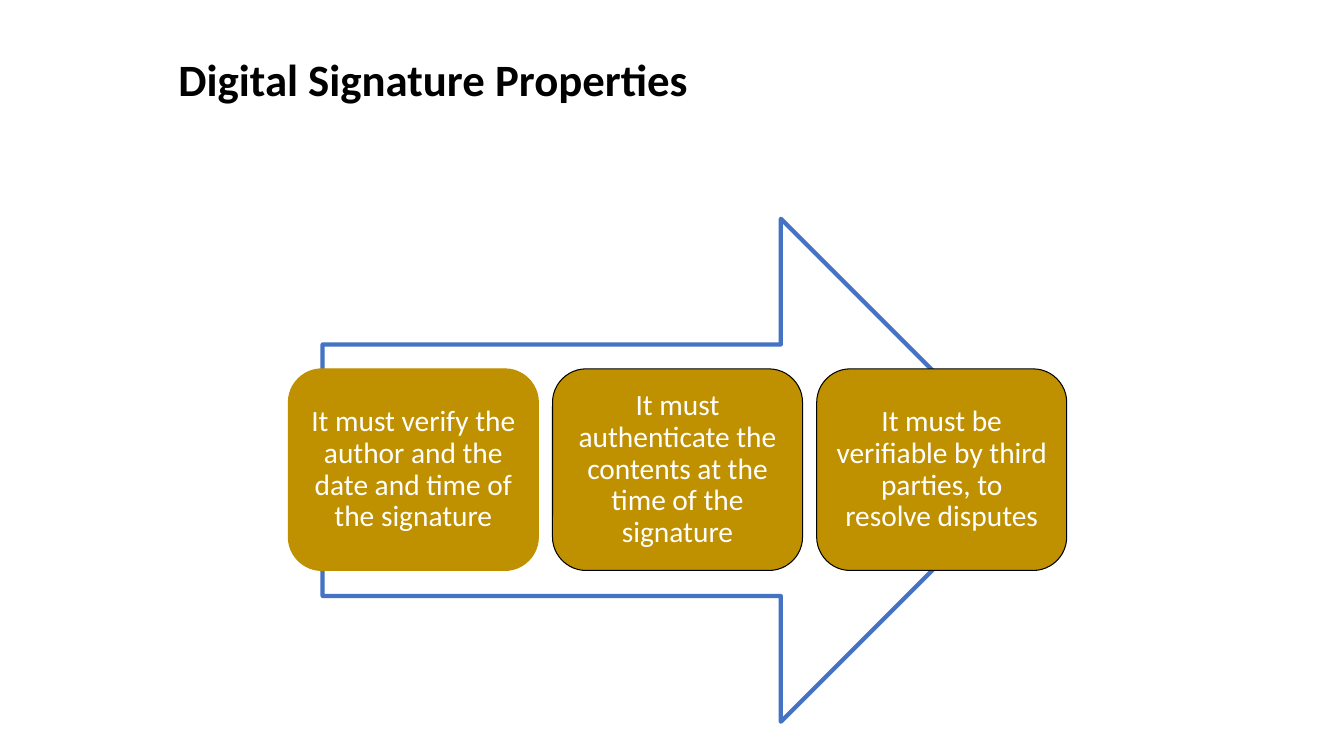
"""Build the Digital Signature Properties slide."""
from dataclasses import dataclass

from pptx import Presentation
from pptx.dml.color import RGBColor
from pptx.enum.shapes import MSO_SHAPE
from pptx.enum.text import MSO_ANCHOR, PP_ALIGN
from pptx.shapes.autoshape import Shape
from pptx.slide import Slide
from pptx.util import Inches, Pt


@dataclass(frozen=True)
class Theme:
    """Hold the colours, font and type sizes."""
    font: str = "Calibri"
    black: str = "000000"
    white: str = "FFFFFF"
    blue: str = "4472C4"
    gold: str = "BF9000"
    head: int = 32
    body: int = 21


@dataclass(frozen=True)
class Card:
    """Describe one property and its outline colour."""
    text: str
    edge: str


THEME = Theme()
CARDS = [
    Card("It must verify the author and the date and time of the signature", THEME.gold),
    Card("It must authenticate the contents at the time of the signature", THEME.black),
    Card("It must be verifiable by third parties, to resolve disputes", THEME.black),
]
LEFT, TOP, WIDTH, HEIGHT, STEP = 2.86, 3.66, 2.48, 2, 2.62
INSET = Inches(0.09)


def write(shape: Shape, text: str, size: int, color: str, align: PP_ALIGN) -> None:
    """Put one formatted paragraph in the middle of a shape."""
    frame = shape.text_frame
    frame.word_wrap = True
    frame.vertical_anchor = MSO_ANCHOR.MIDDLE
    para = frame.paragraphs[0]
    para.text = text
    para.alignment = align
    para.line_spacing = 0.9
    para.font.name = THEME.font
    para.font.size = Pt(size)
    para.font.color.rgb = RGBColor.from_string(color)


def draw(slide: Slide, kind: MSO_SHAPE, box: tuple[float, ...],
         fill: str, edge: str, weight: float) -> Shape:
    """Add a filled and outlined preset shape."""
    shape = slide.shapes.add_shape(kind, *map(Inches, box))
    shape.shadow.inherit = False
    shape.fill.solid()
    shape.fill.fore_color.rgb = RGBColor.from_string(fill)
    shape.line.color.rgb = RGBColor.from_string(edge)
    shape.line.width = Pt(weight)
    return shape


def add_card(slide: Slide, card: Card, left: float) -> None:
    """Draw a rounded card with its text."""
    shape = draw(slide, MSO_SHAPE.ROUNDED_RECTANGLE, (left, TOP, WIDTH, HEIGHT),
                 THEME.gold, card.edge, 0.75)
    frame = shape.text_frame
    frame.margin_left = frame.margin_right = INSET
    frame.margin_top = frame.margin_bottom = INSET
    write(shape, card.text, THEME.body, THEME.white, PP_ALIGN.CENTER)


def main() -> None:
    """Build and save the slide."""
    deck = Presentation()
    deck.slide_width, deck.slide_height = Inches(13.33), Inches(7.5)
    slide = deck.slides.add_slide(deck.slide_layouts[5])
    title = slide.shapes.title
    title.left, title.top = Inches(1.67), Inches(0.04)
    title.width, title.height = Inches(10), Inches(1.55)
    write(title, "Digital Signature Properties", THEME.head, THEME.black, PP_ALIGN.LEFT)
    title.text_frame.paragraphs[0].font.bold = True
    draw(slide, MSO_SHAPE.RIGHT_ARROW, (3.2, 2.17, 7.04, 4.99),
         THEME.white, THEME.blue, 3)
    for index, card in enumerate(CARDS):
        add_card(slide, card, LEFT + index * STEP)
    deck.save("out.pptx")


if __name__ == "__main__":
    main()
